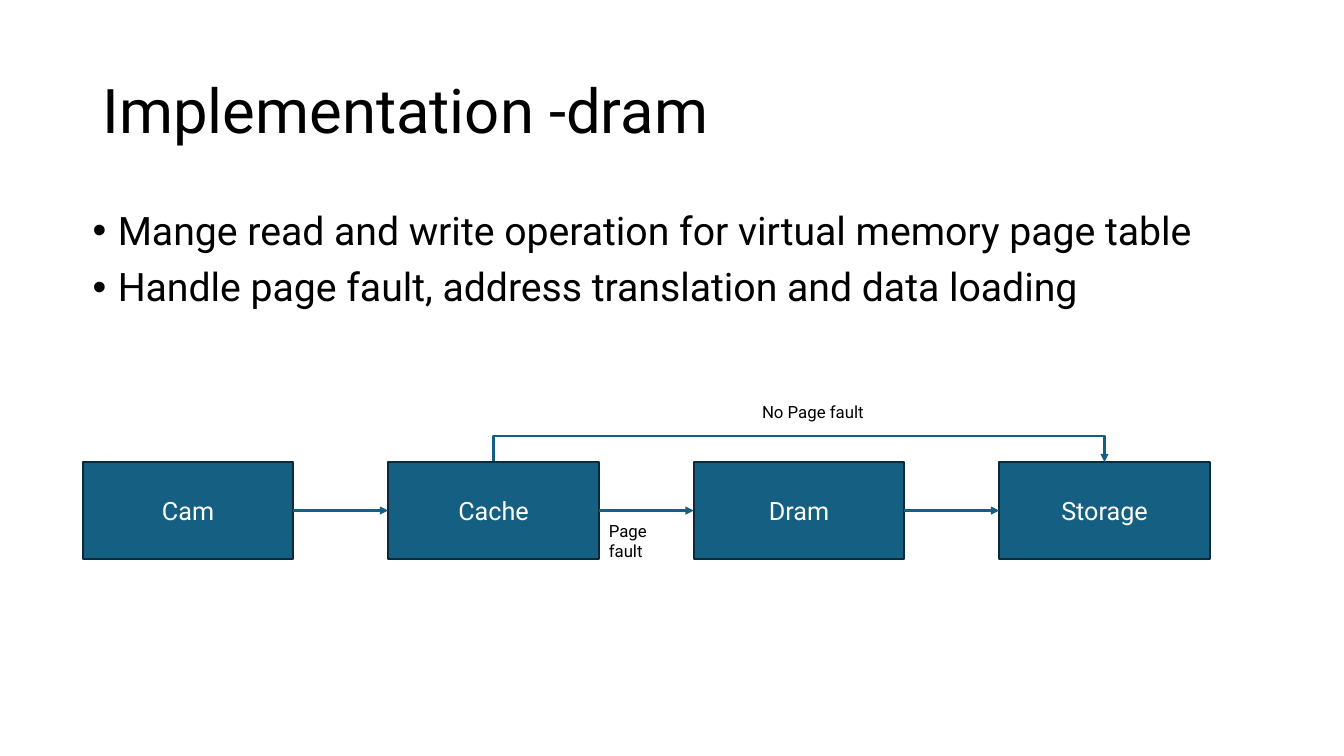
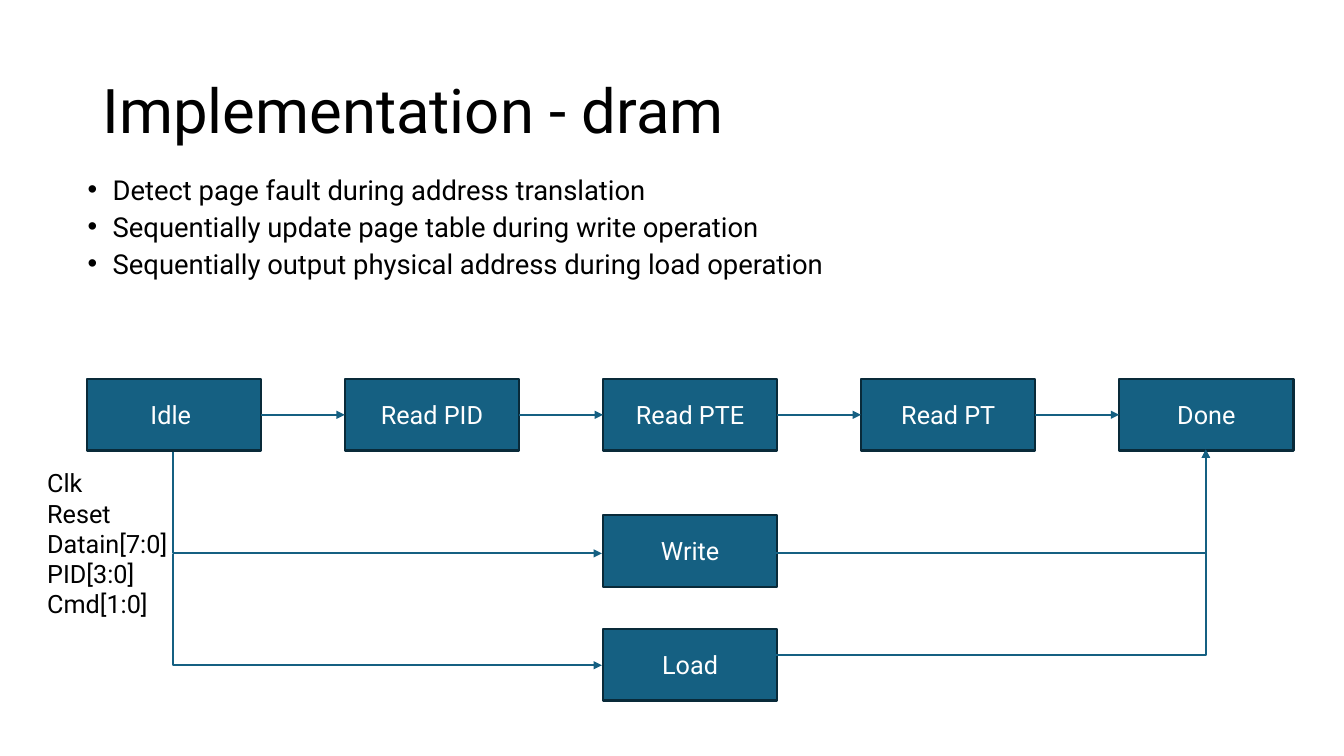
import pptx
import pptx.util
import pptx.dml.color
import pptx.enum.shapes
import pptx.enum.text
import pptx.oxml
import pptx.oxml.ns

Inches = pptx.util.Inches
FONT = "Roboto"
BLACK, WHITE, TEAL, NAVY = "000000", "FFFFFF", "156082", "092A39"
TITLE_AT = (0.92, 0.4, 11.5, 1.45)
RIGHT_SIDE, LEFT_SIDE = 3, 1

SLIDES = [
    {
        "title": "Implementation -dram",
        "bullets": [
            "Mange read and write operation for virtual memory page table",
            "Handle page fault, address translation and data loading",
        ],
        "bullets_at": (0.82, 2.05, 11.5, 1.14),
        "bullet_style": {"size": 28, "line_spacing": 0.9},
        "chain": ["Cam", "Cache", "Dram", "Storage"],
        "chain_at": (0.82, 4.58, 2.09, 0.97),
        "pitch": 3.03,
        "branches": [],
        "elbows": [
            {"start": (7.93, 1.55), "end": (7.92, 7.61), "preset": "bentConnector3",
             "bend": -25, "turn": 270},
        ],
        "labels": [
            (["Page fault"], (5.94, 5.12, 0.94, 0.3), 12),
            (["No Page fault"], (7.46, 3.94, 1.3, 0.3), 12),
        ],
    },
    {
        "title": "Implementation - dram",
        "bullets": [
            "Detect page fault during address translation",
            "Sequentially update page table during write operation",
            "Sequentially output physical address during load operation",
        ],
        "bullets_at": (0.77, 1.76, 11.5, 1.14),
        "bullet_style": {"size": 19.6, "line_spacing": 0.7},
        "chain": ["Idle ", "Read PID", "Read PTE", "Read PT", "Done"],
        "chain_at": (0.86, 3.76, 1.73, 0.71),
        "pitch": 2.56,
        "branches": [("Write", 5.11), ("Load", 6.24)],
        "elbows": [
            {"start": (1.72, 4.48), "end": (5.97, 5.49), "preset": "bentConnector3", "bend": 0},
            {"start": (1.72, 5.5), "end": (5.97, 6.6), "preset": "bentConnector3", "bend": 0},
            {"start": (7.69, 5.49), "end": (11.96, 4.46), "preset": "bentConnector2"},
            {"start": (7.69, 6.5), "end": (11.96, 4.46), "preset": "bentConnector2"},
        ],
        "labels": [
            (["Clk", "Reset", "Datain[7:0]", "PID[3:0]", "Cmd[1:0]"],
             (0.37, 4.59, 3.16, 1.92), 18),
        ],
    },
]


def color(value):
    return pptx.dml.color.RGBColor.from_string(value)


def add_child(parent, tag, **attributes):
    child = pptx.oxml.ns.qn(tag)
    element = parent.makeelement(child, attributes)
    parent.append(element)
    return element


def write_text(frame, lines, size=18, ink=BLACK, align=None, anchor="TOP",
               line_spacing=None, bullet=False):
    frame.word_wrap = True
    frame.vertical_anchor = getattr(pptx.enum.text.MSO_ANCHOR, anchor)
    for index, line in enumerate(lines):
        para = frame.paragraphs[0] if index == 0 else frame.add_paragraph()
        para.alignment = align
        if line_spacing:
            para.line_spacing = line_spacing
        if bullet:
            if index:
                para.space_before = pptx.util.Pt(10)
            properties = para._p.get_or_add_pPr()
            properties.set("marL", str(Inches(0.25)))
            properties.set("indent", str(Inches(-0.25)))
            add_child(properties, "a:buFont", typeface="Arial")
            add_child(properties, "a:buChar", char="•")
        span = para.add_run()
        span.text = line
        span.font.name = FONT
        span.font.size = pptx.util.Pt(size)
        span.font.color.rgb = color(ink)


def add_text(page, lines, at, **style):
    box = page.shapes.add_textbox(*map(Inches, at))
    write_text(box.text_frame, lines, **style)


def add_state(page, name, at):
    box = page.shapes.add_shape(pptx.enum.shapes.MSO_SHAPE.RECTANGLE, *map(Inches, at))
    box.shadow.inherit = False
    box.fill.solid()
    box.fill.fore_color.rgb = color(TEAL)
    box.line.color.rgb = color(NAVY)
    box.line.width = pptx.util.Pt(1.5)
    write_text(box.text_frame, [name], ink=WHITE, anchor="MIDDLE",
               align=pptx.enum.text.PP_ALIGN.CENTER)
    return box


def add_arrow(page, start, end, kind="STRAIGHT"):
    connector_type = getattr(pptx.enum.shapes.MSO_CONNECTOR, kind)
    arrow = page.shapes.add_connector(connector_type, *map(Inches, start + end))
    arrow.line.color.rgb = color(TEAL)
    arrow.line.width = pptx.util.Pt(1.5)
    add_child(arrow.line._get_or_add_ln(), "a:tailEnd", type="triangle")
    add_child(arrow._element.spPr, "a:effectLst")
    return arrow


def add_elbow(page, start, end, preset, bend=None, turn=0):
    properties = add_arrow(page, start, end, "ELBOW")._element.spPr
    geometry = properties.find(pptx.oxml.ns.qn("a:prstGeom"))
    geometry.set("prst", preset)
    if bend is not None:
        guides = geometry.find(pptx.oxml.ns.qn("a:avLst"))
        if guides is None:
            guides = add_child(geometry, "a:avLst")
        add_child(guides, "a:gd", name="adj1", fmla=f"val {bend * 100000}")
    if turn:
        properties.find(pptx.oxml.ns.qn("a:xfrm")).set("rot", str(turn * 60000))


def add_flow(page, content):
    left, top, width, height = content["chain_at"]
    pitch = content["pitch"]
    states = [add_state(page, name, (left + index * pitch, top, width, height))
              for index, name in enumerate(content["chain"])]
    for before, after in zip(states, states[1:]):
        arrow = add_arrow(page, (0, 0), (1, 1))
        arrow.begin_connect(before, RIGHT_SIDE)
        arrow.end_connect(after, LEFT_SIDE)
    for name, branch_top in content["branches"]:
        add_state(page, name, (left + 2 * pitch, branch_top, width, height))
    for elbow in content["elbows"]:
        add_elbow(page, **elbow)


def main():
    """Build the two memory flow slides."""
    deck = pptx.Presentation()
    deck.slide_width, deck.slide_height = Inches(13.33), Inches(7.5)
    for content in SLIDES:
        page = deck.slides.add_slide(deck.slide_layouts[6])
        add_text(page, [content["title"]], TITLE_AT, size=44, anchor="MIDDLE", line_spacing=0.9)
        add_text(page, content["bullets"], content["bullets_at"], bullet=True,
                 **content["bullet_style"])
        add_flow(page, content)
        for lines, at, size in content["labels"]:
            add_text(page, lines, at, size=size)
    deck.save("out.pptx")


if __name__ == "__main__":
    main()
